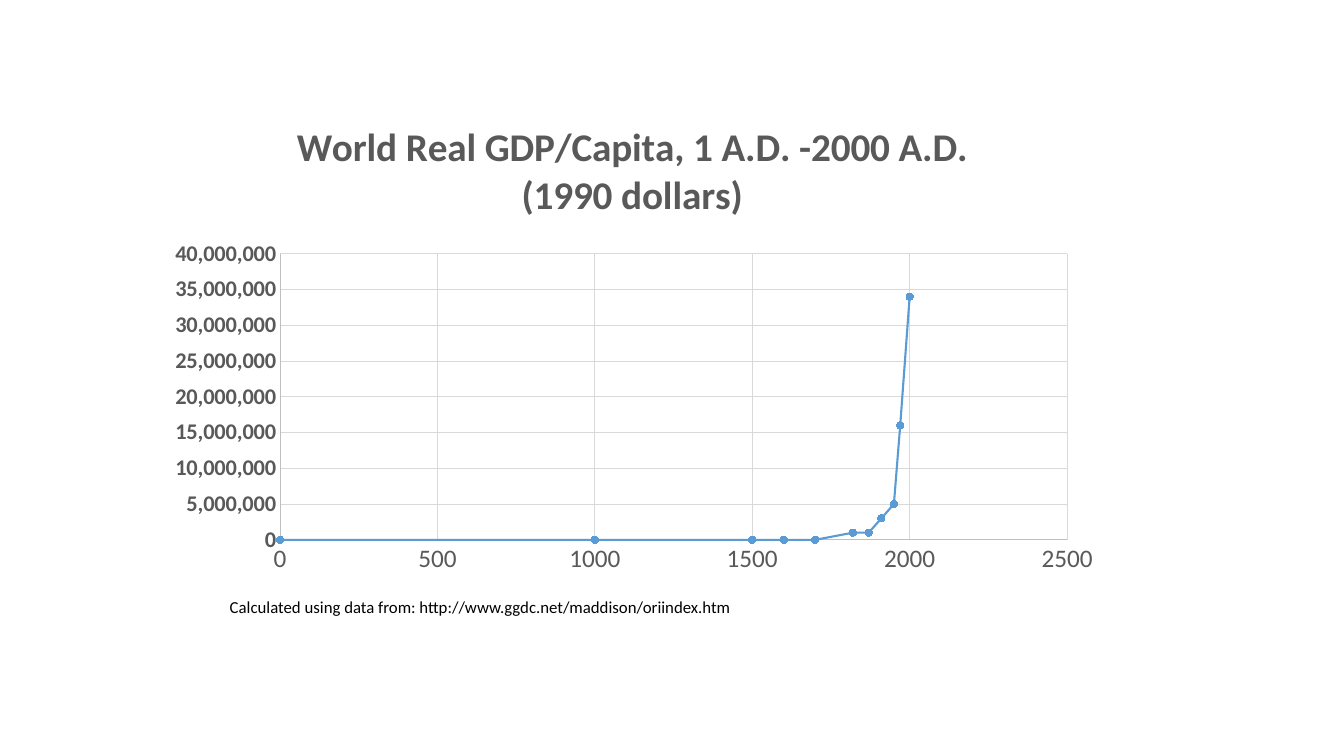
from lxml import etree
from pptx import Presentation
from pptx.chart.data import XyChartData
from pptx.dml.color import RGBColor
from pptx.enum.chart import XL_CHART_TYPE, XL_MARKER_STYLE, XL_TICK_MARK
from pptx.enum.text import MSO_AUTO_SIZE
from pptx.oxml.ns import qn
from pptx.util import Inches, Pt

SCATTER = XL_CHART_TYPE.XY_SCATTER_LINES
CIRCLE = XL_MARKER_STYLE.CIRCLE
NO_TICK = XL_TICK_MARK.NONE
FIT_SHAPE = MSO_AUTO_SIZE.SHAPE_TO_FIT_TEXT
FONT = "Calibri"
BLACK, GRAY, AXIS_GRAY, GRID_GRAY, BLUE = "000000", "595959", "BFBFBF", "D9D9D9", "5B9BD5"

GDP_BY_YEAR = [
    (0, 0), (1000, 0), (1500, 0), (1600, 0),
    (1700, 0), (1820, 1000000), (1870, 1000000), (1910, 3000000),
    (1950, 5000000), (1970, 16000000), (2000, 34000000),
]


def color(value):
    return RGBColor.from_string(value)


def format_font(font, size, value, bold=False):
    font.name = FONT
    font.size = Pt(size)
    font.bold = bold
    font.color.rgb = color(value)


def format_line(line, value, width):
    line.color.rgb = color(value)
    line.width = Pt(width)


def set_layout(parent, following, settings):
    for old in parent.findall(qn("c:layout")):
        parent.remove(old)
    layout = etree.Element(qn("c:layout"))
    manual = etree.SubElement(layout, qn("c:manualLayout"))
    for name, value in settings.items():
        etree.SubElement(manual, qn(f"c:{name}")).set("val", str(value))
    position = next(
        (index for index, child in enumerate(parent) if child.tag in following),
        len(parent),
    )
    parent.insert(position, layout)


def format_axis(axis, maximum, step, number_format, size, bold):
    axis.minimum_scale = 0
    axis.maximum_scale = maximum
    axis.major_unit = step
    axis.major_tick_mark = NO_TICK
    axis.minor_tick_mark = NO_TICK
    axis.has_major_gridlines = True
    format_line(axis.major_gridlines.format.line, GRID_GRAY, 0.75)
    format_line(axis.format.line, AXIS_GRAY, 0.75)
    axis.tick_labels.number_format = number_format
    axis.tick_labels.number_format_is_linked = False
    format_font(axis.tick_labels.font, size, GRAY, bold)


def add_title(chart):
    chart.has_title = True
    title = chart.chart_title
    run = title.text_frame.paragraphs[0].add_run()
    run.text = "World Real GDP/Capita, 1 A.D. -2000 A.D. (1990 dollars)"
    format_font(run.font, 28, GRAY, True)
    title.include_in_layout = False
    set_layout(
        title._element,
        (qn("c:overlay"),),
        {"xMode": "edge", "yMode": "edge", "x": 0.14, "y": 0.03},
    )


def add_gdp_chart(slide, left, top, width, height):
    data = XyChartData()
    points = data.add_series("Series 1")
    for year, gdp in GDP_BY_YEAR:
        points.add_data_point(year, gdp)
    chart = slide.shapes.add_chart(
        SCATTER, Inches(left), Inches(top), Inches(width), Inches(height), data
    ).chart
    format_font(chart.font, 10, BLACK)
    chart.has_legend = False
    add_title(chart)
    format_axis(chart.category_axis, 2500, 500, "General", 18, False)
    format_axis(chart.value_axis, 40000000, 5000000, "#,##0", 16, True)

    plot = chart.plots[0]
    plot.vary_by_categories = False
    series = plot.series[0]
    series.smooth = False
    format_line(series.format.line, BLUE, 1.5)
    series.marker.style = CIRCLE
    series.marker.size = 5
    series.marker.format.fill.solid()
    series.marker.format.fill.fore_color.rgb = color(BLUE)
    format_line(series.marker.format.line, BLUE, 0.75)
    set_layout(
        chart._chartSpace.chart.plotArea,
        (qn("c:scatterChart"),),
        {
            "layoutTarget": "inner", "xMode": "edge", "yMode": "edge",
            "x": 0.13, "y": 0.32, "w": 0.82, "h": 0.59,
        },
    )


def add_source_note(slide, left, top, width, height):
    shape = slide.shapes.add_textbox(
        Inches(left), Inches(top), Inches(width), Inches(height)
    )
    frame = shape.text_frame
    frame.word_wrap = False
    frame.auto_size = FIT_SHAPE
    run = frame.paragraphs[0].add_run()
    run.text = "Calculated using data from: http://www.ggdc.net/maddison/oriindex.htm"
    format_font(run.font, 12, BLACK)


def main():
    presentation = Presentation()
    presentation.slide_width = Inches(13.33)
    presentation.slide_height = Inches(7.5)
    slide = presentation.slides.add_slide(presentation.slide_layouts[6])
    add_gdp_chart(slide, 1.54, 0.98, 9.52, 4.81)
    add_source_note(slide, 2.18, 5.87, 5.22, 0.3)
    presentation.save("out.pptx")


if __name__ == "__main__":
    main()
